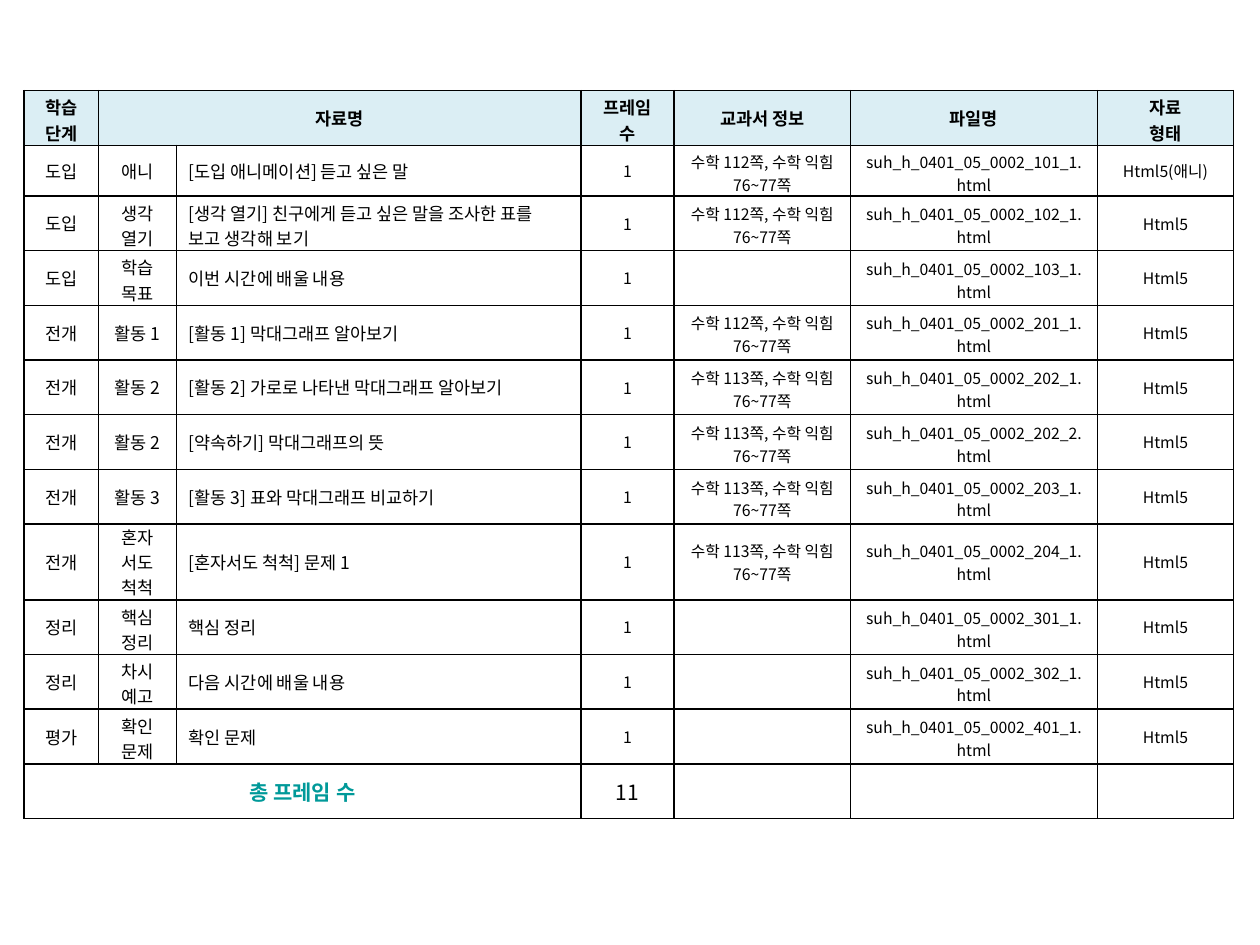
import math
from dataclasses import dataclass

import pptx
import pptx.dml.color
import pptx.enum.text
import pptx.oxml
import pptx.oxml.ns
import pptx.util
from pptx.util import Inches

FONT = "Noto Sans CJK KR"
LINE_HEIGHT = 1.45
BLACK, TEAL, HEADER_FILL = "000000", "009999", "DBEEF4"
COLUMNS = (0.59, 0.62, 3.21, 0.74, 1.4, 1.96, 1.08)
LINE_CAPACITIES = (4, 4, 36, 4, 15, 27, 11)
TABLE_HEIGHT = 5.77
SPECIAL_HEIGHTS = {1: 0.4, 8: 0.6}
HEADERS = ("학습 단계", "자료명", "", "프레임 수", "교과서 정보", "파일명", "자료\n형태")
TITLE_COLUMN, FRAME_COLUMN = 2, 3


@dataclass
class Material:
    stage: str
    activity: str
    title: str
    code: str
    page: int | None = None
    kind: str = "Html5"

    def texts(self) -> tuple[str, ...]:
        textbook = f"수학 {self.page}쪽, 수학 익힘 76~77쪽" if self.page else ""
        file_name = f"suh_h_0401_05_0002_{self.code}.html"
        return (self.stage, self.activity, self.title, "1", textbook, file_name, self.kind)


MATERIALS = (
    Material("도입", "애니", "[도입 애니메이션] 듣고 싶은 말", "101_1", 112, "Html5(애니)"),
    Material("도입", "생각 열기", "[생각 열기] 친구에게 듣고 싶은 말을 조사한 표를 보고 생각해 보기",
             "102_1", 112),
    Material("도입", "학습 목표", "이번 시간에 배울 내용", "103_1"),
    Material("전개", "활동 1", "[활동 1] 막대그래프 알아보기", "201_1", 112),
    Material("전개", "활동 2", "[활동 2] 가로로 나타낸 막대그래프 알아보기", "202_1", 113),
    Material("전개", "활동 2", "[약속하기] 막대그래프의 뜻", "202_2", 113),
    Material("전개", "활동 3", "[활동 3] 표와 막대그래프 비교하기", "203_1", 113),
    Material("전개", "혼자\n서도\n척척", "[혼자서도 척척] 문제 1", "204_1", 113),
    Material("정리", "핵심 정리", "핵심 정리", "301_1"),
    Material("정리", "차시 예고", "다음 시간에 배울 내용", "302_1"),
    Material("평가", "확인 문제", "확인 문제", "401_1"),
)


def rgb(color: str) -> pptx.dml.color.RGBColor:
    return pptx.dml.color.RGBColor.from_string(color)


def set_borders(cell) -> None:
    tc_pr = cell._tc.get_or_add_tcPr()
    for i, side in enumerate(("lnL", "lnR", "lnT", "lnB")):
        tc_pr.insert(i, pptx.oxml.parse_xml(
            f'<a:{side} {pptx.oxml.ns.nsdecls("a")} w="12700"><a:solidFill>'
            f'<a:srgbClr val="{BLACK}"/></a:solidFill></a:{side}>'))


def format_cell(cell, fill: str | None = None) -> None:
    cell.vertical_anchor = pptx.enum.text.MSO_ANCHOR.MIDDLE
    if fill:
        cell.fill.solid()
        cell.fill.fore_color.rgb = rgb(fill)
    else:
        cell.fill.background()
    set_borders(cell)


def write_cell(cell, text: str, size: float, color: str = BLACK, bold: bool = False,
               centered: bool = True) -> None:
    align = pptx.enum.text.PP_ALIGN
    cell.text = text
    for p in cell.text_frame.paragraphs:
        p.alignment = align.CENTER if centered else align.LEFT
        p.font.size = pptx.util.Pt(size)
        p.font.bold = bold
        p.font.color.rgb = rgb(color)
        p.font.name = FONT
        p._p.pPr.find(pptx.oxml.ns.qn("a:defRPr")).append(pptx.oxml.parse_xml(
            f'<a:ea {pptx.oxml.ns.nsdecls("a")} typeface="{FONT}"/>'))


def fit_margins(cell, text: str, size: float, capacity: int, height: float) -> None:
    """Shrink the bottom margin, then the top one, so that the row keeps its height."""
    lines = sum(math.ceil(len(line) / capacity) for line in text.split("\n"))
    spare = max(0, height - lines * size * LINE_HEIGHT / 72)
    top = min(0.05, spare)
    cell.margin_top = Inches(top)
    cell.margin_bottom = Inches(min(0.05, spare - top))


def add_materials_table(slide) -> None:
    row_count = len(MATERIALS) + 2
    total_row = row_count - 1
    table = slide.shapes.add_table(row_count, len(COLUMNS), Inches(0.19), Inches(0.72),
                                   Inches(sum(COLUMNS)), Inches(TABLE_HEIGHT)).table
    table.first_row = table.horz_banding = False
    for column, width in zip(table.columns, COLUMNS):
        column.width = Inches(width)
    regular_height = ((TABLE_HEIGHT - sum(SPECIAL_HEIGHTS.values()))
                      / (row_count - len(SPECIAL_HEIGHTS)))
    heights = [SPECIAL_HEIGHTS.get(i, regular_height) for i in range(row_count)]
    for i, row in enumerate(table.rows):
        row.height = Inches(heights[i])
        for cell in row.cells:
            format_cell(cell, HEADER_FILL if i == 0 else None)

    table.cell(0, 1).merge(table.cell(0, TITLE_COLUMN))
    table.cell(total_row, 0).merge(table.cell(total_row, TITLE_COLUMN))

    for r, texts in enumerate([HEADERS] + [material.texts() for material in MATERIALS]):
        header = r == 0
        for c, text in enumerate(texts):
            if text:
                cell = table.cell(r, c)
                size = 10 if header or c < FRAME_COLUMN else 9
                write_cell(cell, text, size, bold=header,
                           centered=header or c != TITLE_COLUMN)
                fit_margins(cell, text, size, LINE_CAPACITIES[c], heights[r])
    write_cell(table.cell(total_row, 0), "총 프레임 수", 12, TEAL, bold=True)
    write_cell(table.cell(total_row, FRAME_COLUMN), str(len(MATERIALS)), 12)


def main() -> None:
    prs = pptx.Presentation()
    prs.slide_width, prs.slide_height = Inches(10), Inches(7.5)
    add_materials_table(prs.slides.add_slide(prs.slide_layouts[6]))
    prs.save("out.pptx")


if __name__ == "__main__":
    main()
